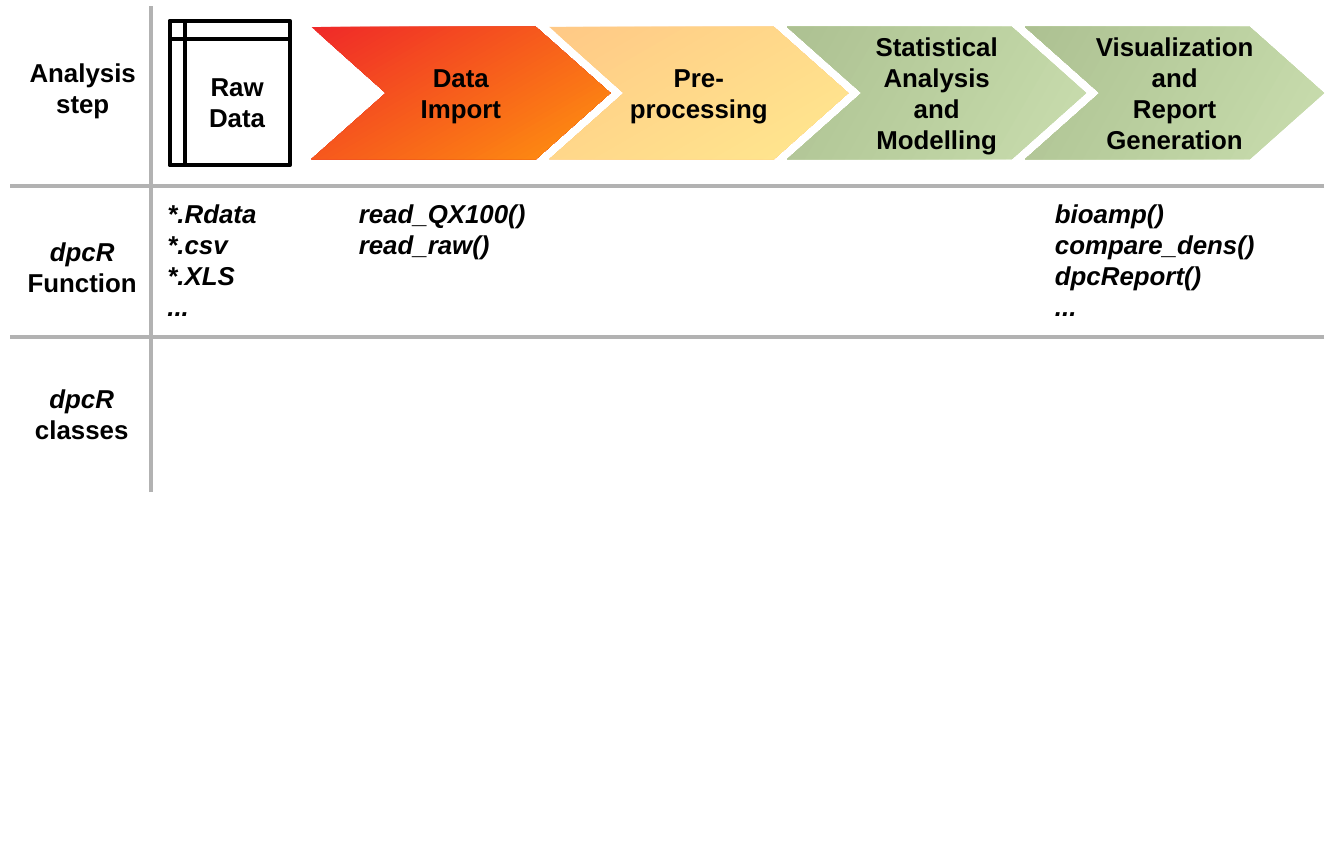
"""Build the dpcR workflow slide: analysis steps, functions and classes."""
from lxml import etree
from pptx import Presentation
from pptx.dml.color import RGBColor
from pptx.enum.shapes import MSO_CONNECTOR, MSO_SHAPE
from pptx.enum.text import MSO_ANCHOR, MSO_AUTO_SIZE, PP_ALIGN
from pptx.oxml.ns import qn
from pptx.util import Inches, Pt


def paint(color, hex_value):
    color.rgb = RGBColor.from_string(hex_value)


def write(shape, text, align=PP_ALIGN.CENTER, italic_lines=0, anchor=MSO_ANCHOR.MIDDLE,
          margins=(0.1, 0.05), auto_size=MSO_AUTO_SIZE.NONE):
    frame = shape.text_frame
    frame.word_wrap = False
    frame.auto_size = auto_size
    frame.vertical_anchor = anchor
    frame.margin_left = frame.margin_right = Inches(margins[0])
    frame.margin_top = frame.margin_bottom = Inches(margins[1])
    frame.text = text
    for number, paragraph in enumerate(frame.paragraphs):
        paragraph.alignment = align
        for run in paragraph.runs:
            run.font.name = "Arial"
            run.font.size = Pt(18)
            run.font.bold = True
            run.font.italic = number < italic_lines
            paint(run.font.color, "000000")


presentation = Presentation()
presentation.slide_width = Inches(33 / 2.54)
presentation.slide_height = Inches(21 / 2.54)
slide = presentation.slides.add_slide(presentation.slide_layouts[6])
shapes = slide.shapes

raw_data = shapes.add_shape(MSO_SHAPE.FLOWCHART_INTERNAL_STORAGE,
                            Inches(1.64), Inches(0.2), Inches(1.16), Inches(1.4))
raw_data.shadow.inherit = False
raw_data.fill.background()
raw_data.line.width = Pt(2.83)
paint(raw_data.line.color, "000000")
write(raw_data, "Raw\nData", margins=(0.12, 0.07))

GREEN = ("94BD5E", "5C8526", 50, 210)
steps = [
    ("Data\nImport", "EF2929", "FF950E", 100, 60),
    ("Pre-\nprocessing", "FF950E", "FFD320", 50, 60),
    ("Statistical\nAnalysis\nand\nModelling", *GREEN),
    ("Visualization\nand\nReport\nGeneration", *GREEN),
]
chevron = [(0, 0.26), (2.17, 0.26), (2.89, 0.9), (2.17, 1.54), (0, 1.54), (0.72, 0.9)]
for index, (name, first_color, last_color, opacity, angle) in enumerate(steps):
    left = 3.01 + 2.3 * index
    corners = [(Inches(left + x), Inches(y)) for x, y in chevron]
    outline = shapes.build_freeform(*corners[0])
    outline.add_line_segments(corners[1:], close=True)
    step = outline.convert_to_shape()
    step.shadow.inherit = False
    step.line.fill.background()
    step.fill.gradient()
    step.fill.gradient_angle = 360 - angle
    for stop, hex_value in zip(step.fill.gradient_stops, (first_color, last_color)):
        paint(stop.color, hex_value)
    if opacity < 100:
        for tint in step._element.spPr.iter(qn("a:srgbClr")):
            etree.SubElement(tint, qn("a:alpha"), val=str(opacity * 1000))
    write(step, name)

dividers = [(1.46, 4.76, 1.46, 0.06), (12.8, 1.8, 0.1, 1.8), (12.8, 3.26, 0.1, 3.26)]
for ends in dividers:
    divider = shapes.add_connector(MSO_CONNECTOR.STRAIGHT, *map(Inches, ends))
    divider.line.width = Pt(2.83)
    paint(divider.line.color, "B2B2B2")
    etree.SubElement(divider._element.spPr, qn("a:effectLst"))

CENTER, LEFT = PP_ALIGN.CENTER, PP_ALIGN.LEFT
texts = [
    ("Analysis\nstep", 0.18, 0.5, 1.24, 0.66, CENTER, 0),
    ("dpcR\nFunction", 0.16, 2.23, 1.27, 0.66, CENTER, 1),
    ("dpcR\nclasses", 0.23, 3.65, 1.12, 0.66, CENTER, 1),
    ("*.Rdata\n*.csv\n*.XLS\n...", 1.52, 1.86, 1.06, 1.22, LEFT, 4),
    ("read_QX100()\nread_raw()", 3.37, 1.86, 1.81, 0.66, LEFT, 2),
    ("bioamp()\ncompare_dens()\ndpcReport()\n...", 10.1, 1.86, 2.13, 1.22, LEFT, 4),
]
for text, left, top, width, height, align, italic_lines in texts:
    box = shapes.add_textbox(Inches(left), Inches(top), Inches(width), Inches(height))
    write(box, text, align=align, italic_lines=italic_lines, anchor=MSO_ANCHOR.TOP,
          auto_size=MSO_AUTO_SIZE.SHAPE_TO_FIT_TEXT)

presentation.save("out.pptx")
